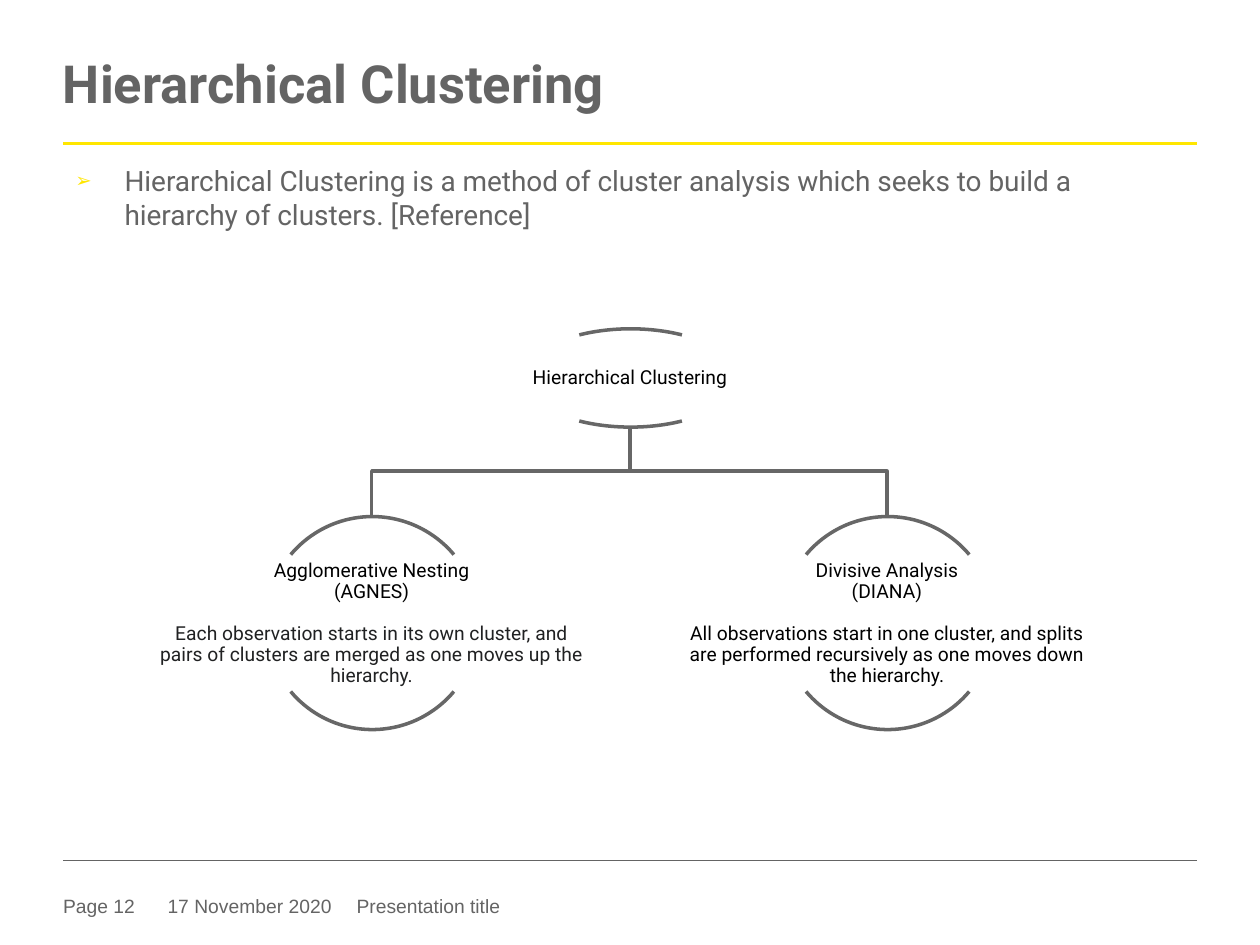
from pptx import Presentation
from pptx.dml.color import RGBColor
from pptx.enum.shapes import MSO_CONNECTOR, MSO_SHAPE
from pptx.enum.text import MSO_ANCHOR, PP_ALIGN
from pptx.util import Pt
from lxml.etree import SubElement
from pptx.oxml.ns import qn

SCALE = 9144
GREY = "646464"
YELLOW = "FFE600"
BRANCH = "676767"
BLACK = "000000"


def px(length):
    return length * SCALE


def color(hex_string):
    return RGBColor.from_string(hex_string)


def set_line(shape, hex_string, width):
    shape.line.color.rgb = color(hex_string)
    shape.line.width = Pt(width)


def add_rule(slide, left, top, width, hex_string, weight):
    rule = slide.shapes.add_connector(
        MSO_CONNECTOR.STRAIGHT, px(left), px(top), px(left + width), px(top))
    set_line(rule, hex_string, weight)
    SubElement(rule._element.spPr, qn("a:effectLst"))


def add_text(slide, box, lines, size, font="Roboto", hex_string=GREY,
             bold=False, inset=0):
    shape = slide.shapes.add_textbox(*map(px, box))
    text_frame = shape.text_frame
    text_frame.word_wrap = True
    text_frame.margin_left = text_frame.margin_right = px(inset)
    text_frame.margin_top = text_frame.margin_bottom = px(inset)
    text_frame.text = "\n".join(lines)
    for paragraph in text_frame.paragraphs:
        for run in paragraph.runs:
            run.font.size = Pt(size)
            run.font.name = font
            run.font.bold = bold
            run.font.color.rgb = color(hex_string)
    return text_frame


def add_header(slide, left, top, width, title):
    text_frame = add_text(slide, (left, top, width, 48), [title], 30, bold=True)
    text_frame.paragraphs[0].line_spacing = 0.85
    add_rule(slide, left, top + 66, width, YELLOW, 1.5)


def add_definition(slide, left, top, width, height, text):
    text_frame = add_text(slide, (left, top, width, height), [text], 16)
    text_frame.margin_left = text_frame.margin_right = px(10)
    text_frame.margin_top = text_frame.margin_bottom = px(5)
    paragraph = text_frame.paragraphs[0]
    paragraph.space_before = Pt(3)
    properties = paragraph._p.get_or_add_pPr()
    properties.set("marL", str(px(39)))
    properties.set("indent", str(-px(39)))
    bullet_color = SubElement(properties, qn("a:buClr"))
    SubElement(bullet_color, qn("a:srgbClr"), val=YELLOW)
    SubElement(properties, qn("a:buSzPct"), val="70000")
    SubElement(properties, qn("a:buFont"), typeface="Arial")
    SubElement(properties, qn("a:buChar"), char="➢")


def add_branch(slide, start_x, start_y, end_x, end_y):
    middle_y = (start_y + end_y) // 2
    builder = slide.shapes.build_freeform(start_x, start_y, scale=SCALE)
    builder.add_line_segments(
        [(start_x, middle_y), (end_x, middle_y), (end_x, end_y)], close=False)
    branch = builder.convert_to_shape()
    branch.shadow.inherit = False
    branch.fill.background()
    set_line(branch, BRANCH, 2)


def add_node(slide, center_x, top, height, text_height, heading,
             description=None, description_color=BLACK):
    arc_width, text_width = 169, 338
    for start, end in ((132, 192), (24, 84)):
        arc = slide.shapes.add_shape(
            MSO_SHAPE.ARC, px(center_x - arc_width // 2), px(top),
            px(arc_width), px(height))
        arc.adjustments[0], arc.adjustments[1] = start, end
        arc.shadow.inherit = False
        arc.fill.background()
        set_line(arc, BRANCH, 2)

    lines = heading + ([description] if description else [])
    box = (center_x - text_width // 2, top + (height - text_height + 1) // 2,
           text_width, text_height)
    text_frame = add_text(slide, box, lines, 11, hex_string=BLACK, inset=1)
    text_frame.vertical_anchor = MSO_ANCHOR.MIDDLE
    for paragraph in text_frame.paragraphs:
        paragraph.alignment = PP_ALIGN.CENTER
        paragraph.line_spacing = 0.9
    if description:
        paragraph = text_frame.paragraphs[-1]
        paragraph.space_before = Pt(12)
        paragraph.runs[0].font.color.rgb = color(description_color)


def add_tree(slide, left, top, width, root, children):
    root_height, child_height, gap = 78, 169, 71
    center_x = left + width // 2
    root_bottom = top + root_height
    child_top = root_bottom + gap
    spread = 409
    first_x = center_x - spread // 2 - 1
    centers = [first_x + index * spread for index in range(len(children))]
    for child_x in centers:
        add_branch(slide, center_x, root_bottom, child_x, child_top)
    add_node(slide, center_x, top, root_height, 50, root)
    for child_x, child in zip(centers, children):
        add_node(slide, child_x, child_top, child_height, 108, *child)


def add_footer(slide, left, top, width, entries):
    add_rule(slide, left, top, width, GREY, 0.25)
    for offset, entry_width, text in entries:
        add_text(slide, (left + offset, top + 27, entry_width, 22),
                 [text], 11, font="Arial")


def main():
    presentation = Presentation()
    presentation.slide_width = px(1000)
    presentation.slide_height = px(750)
    slide = presentation.slides.add_slide(presentation.slide_layouts[6])
    add_footer(slide, 50, 683, 900, [
        (0, 79, "Page 12"),
        (83, 140, "17 November 2020"),
        (233, 376, "Presentation title"),
    ])
    add_header(slide, 50, 48, 900, "Hierarchical Clustering")
    add_definition(
        slide, 50, 125, 900, 104,
        "Hierarchical Clustering is a method of cluster analysis which seeks "
        "to build a hierarchy of clusters. [Reference]")
    add_tree(slide, 50, 261, 900, ["Hierarchical Clustering"], [
        (["Agglomerative Nesting", "(AGNES)"],
         "Each observation starts in its own cluster, and pairs of clusters "
         "are merged as one moves up the hierarchy.", "202122"),
        (["Divisive Analysis", "(DIANA)"],
         "All observations start in one cluster, and splits are performed "
         "recursively as one moves down the hierarchy."),
    ])
    presentation.save("out.pptx")


if __name__ == "__main__":
    main()
